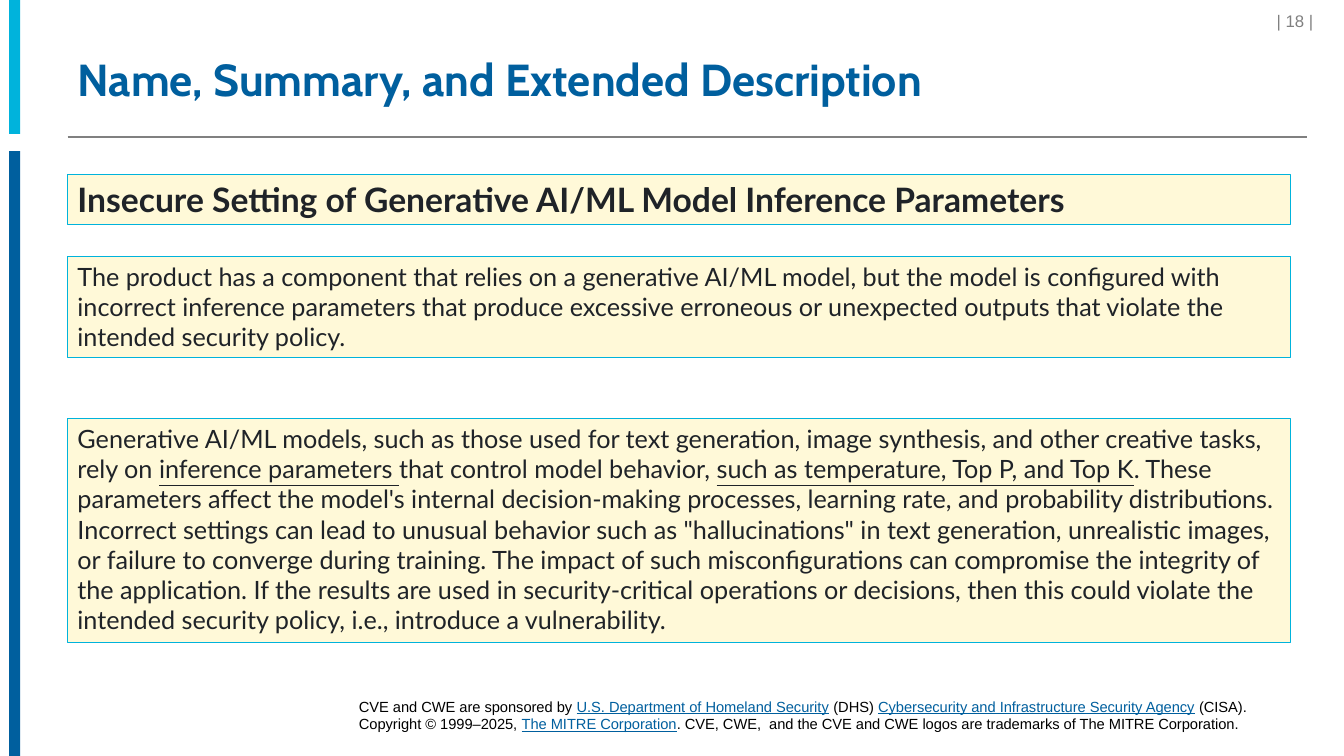
import pptx
import pptx.util
import pptx.dml.color
import pptx.enum.shapes
import pptx.enum.text
import pptx.oxml.ns
from lxml import etree

Inches = pptx.util.Inches
Pt = pptx.util.Pt
ALIGN = pptx.enum.text.PP_ALIGN
ANCHOR = pptx.enum.text.MSO_ANCHOR

COLORS = {
    "cyan": "00B3DC",
    "blue": "005F9E",
    "gray": "808080",
    "cream": "FFF9D8",
    "ink": "1F2328",
    "black": "000000",
}


def rgb(name):
    return pptx.dml.color.RGBColor.from_string(COLORS[name])


class SlideBuilder:
    """Holds the style and the current slide."""

    def __init__(self, slide):
        self.slide = slide

    def bar(self, x, y, w, h, fill):
        sp = self.slide.shapes.add_shape(
            pptx.enum.shapes.MSO_SHAPE.RECTANGLE,
            Inches(x), Inches(y), Inches(w), Inches(h))
        sp.shadow.inherit = False
        sp.fill.solid()
        sp.fill.fore_color.rgb = rgb(fill)
        sp.line.fill.background()
        return sp

    def rule(self, x1, y1, x2, y2, color):
        line = self.slide.shapes.add_connector(
            pptx.enum.shapes.MSO_CONNECTOR.STRAIGHT,
            Inches(x1), Inches(y1), Inches(x2), Inches(y2))
        line.line.color.rgb = rgb(color)
        line.line.width = Pt(1)
        sp_pr = line._element.spPr
        etree.SubElement(sp_pr, pptx.oxml.ns.qn("a:effectLst"))

    def set_text(self, sp, runs, size, font, color, bold=False,
                 align=ALIGN.LEFT, anchor=ANCHOR.TOP, inset=None,
                 spacing=None):
        """Runs are (text, underlined) or (text, underlined, color)."""
        tf = sp.text_frame
        tf.word_wrap = True
        tf.vertical_anchor = anchor
        if inset is not None:
            tf.margin_left = tf.margin_right = Inches(inset)
            tf.margin_top = tf.margin_bottom = Inches(inset)
        p = tf.paragraphs[0]
        p.alignment = align
        if spacing:
            p.line_spacing = spacing
        for text, underline, *own_color in runs:
            r = p.add_run()
            r.text = text
            r.font.size = Pt(size)
            r.font.name = font
            r.font.bold = bold
            r.font.underline = underline
            r.font.color.rgb = rgb(own_color[0] if own_color else color)

    def text(self, x, y, w, h, runs, size, font, color, **style):
        sp = self.slide.shapes.add_textbox(
            Inches(x), Inches(y), Inches(w), Inches(h))
        self.set_text(sp, runs, size, font, color, **style)

    def panel(self, y, h, runs, size, bold=False):
        sp = self.bar(0.67, y, 12.13, h, "cream")
        sp.line.color.rgb = rgb("cyan")
        sp.line.width = Pt(0.75)
        self.set_text(sp, runs, size, "Lato", "ink", bold=bold)


def main():
    prs = pptx.Presentation()
    prs.slide_width = Inches(13.33)
    prs.slide_height = Inches(7.5)
    s = SlideBuilder(prs.slides.add_slide(prs.slide_layouts[6]))

    # Side bars and title rule
    s.bar(0.09, 0, 0.11, 1.33, "cyan")
    s.bar(0.09, 1.5, 0.11, 6, "blue")
    s.rule(0.67, 1.36, 12.96, 1.36, "gray")

    # Footer
    s.text(3.51, 6.87, 9.54, 0.45, [
        ("CVE and CWE are sponsored by ", False),
        ("U.S. Department of Homeland Security", True, "blue"),
        (" (DHS) ", False),
        ("Cybersecurity and Infrastructure Security Agency", True, "blue"),
        (" (CISA). Copyright © 1999–2025, ", False),
        ("The MITRE Corporation", True, "blue"),
        (". CVE, CWE,  and the CVE and CWE logos are trademarks of "
         "The MITRE Corporation.", False),
    ], 10.5, "Arial", "black", inset=0.05)

    # Title and page number
    s.text(0.67, 0.4, 12.29, 0.82,
           [("Name, Summary, and Extended Description", False)],
           32, "Cabin", "blue", bold=True, anchor=ANCHOR.MIDDLE, spacing=0.9)
    s.text(11.24, 0.06, 1.93, 0.28, [("| 18 | ", False)],
           12, "Arial", "gray", align=ALIGN.RIGHT)

    # Name
    s.panel(1.73, 0.5, [
        ("Insecure Setting of Generative AI/ML Model Inference Parameters",
         False),
    ], 24, bold=True)

    # Summary
    s.panel(2.54, 1.01, [
        ("The product has a component that relies on a generative AI/ML "
         "model, but the model is configured with incorrect inference "
         "parameters that produce excessive erroneous or unexpected outputs "
         "that violate the intended security policy.", False),
    ], 18)

    # Extended description
    s.panel(4.15, 2.22, [
        ("Generative AI/ML models, such as those used for text generation, "
         "image synthesis, and other creative tasks, rely on ", False),
        ("inference parameters ", True),
        ("that control model behavior, ", False),
        ("such as temperature, Top P, and Top K", True),
        (". These parameters affect the model's internal decision-making "
         "processes, learning rate, and probability distributions. Incorrect "
         "settings can lead to unusual behavior such as \"hallucinations\" in "
         "text generation, unrealistic images, or failure to converge during "
         "training. The impact of such misconfigurations can compromise the "
         "integrity of the application. If the results are used in "
         "security-critical operations or decisions, then this could violate "
         "the intended security policy, i.e., introduce a vulnerability.",
         False),
    ], 18)

    prs.save("out.pptx")


if __name__ == "__main__":
    main()
